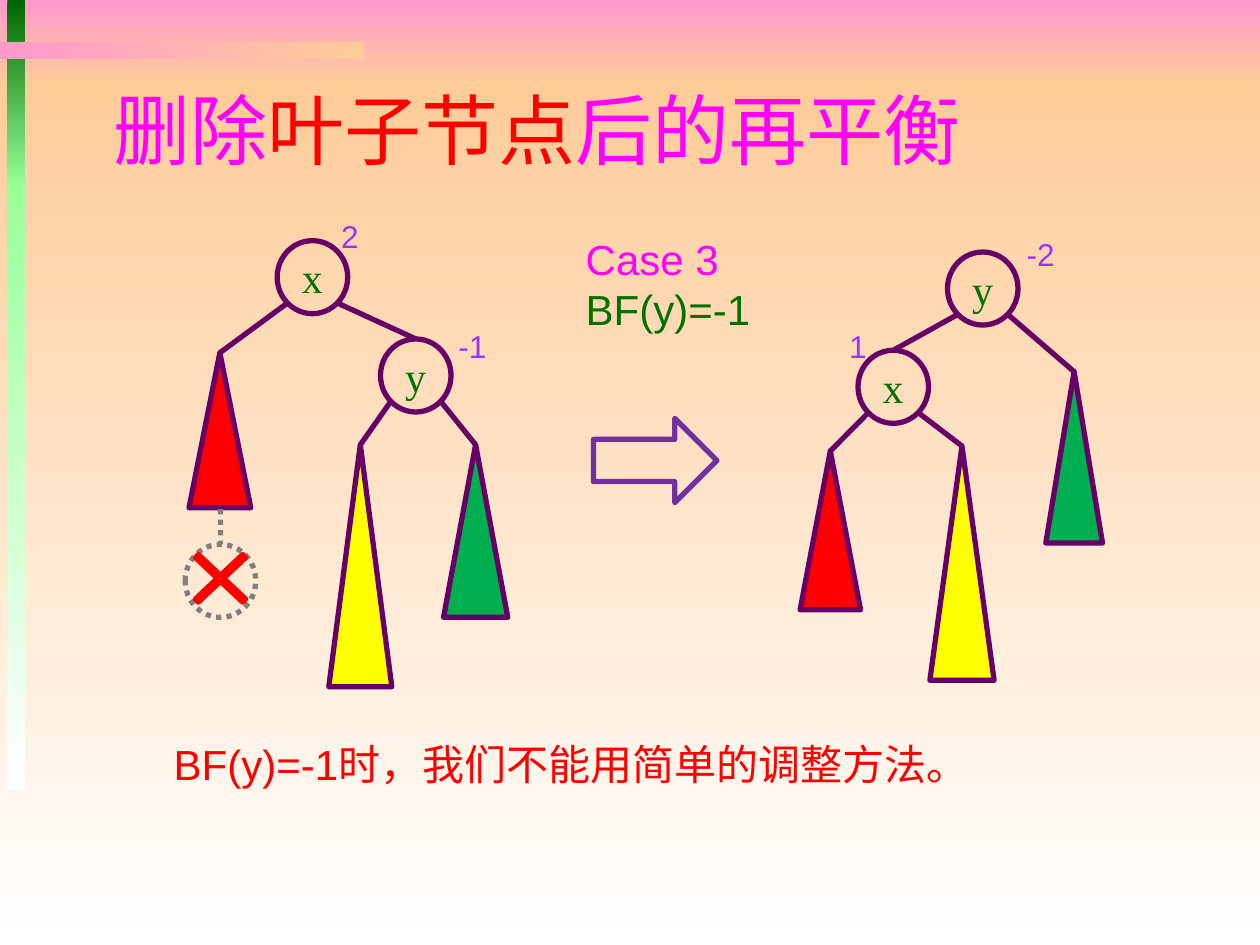
"""Build a slide on rebalancing an AVL tree after a leaf is deleted (case 3)."""
from dataclasses import dataclass
from math import sqrt

from lxml import etree
from pptx import Presentation
from pptx import util as u
from pptx.dml.color import RGBColor
from pptx.enum import dml, shapes, text
from pptx.oxml.ns import qn

COLUMNS, ROWS = 100, 75
WIDTH, HEIGHT = u.Inches(10), u.Inches(7.5)
NODE_W, NODE_H = 5.6, 5.8
STROKE = u.Pt(3)
COLORS = {
    "pink": "FF99CC", "peach": "FFCC99", "white": "FFFFFF", "forest": "006600",
    "mint": "99FF99", "magenta": "FF00FF", "red": "FF0000", "plum": "660066",
    "label": "007200", "yellow": "FFFF00", "green": "00B050", "gray": "808080",
    "violet": "9933FF", "purple": "7030A0",
}


@dataclass
class Band:
    """A gradient bar of the background."""
    box: tuple
    start: str
    end: str
    angle: int = 270


@dataclass
class Node:
    """A tree node with its balance factor."""
    name: str
    left: float
    top: float
    factor: str
    factor_at: tuple


@dataclass
class Subtree:
    """A subtree drawn as a triangle."""
    box: tuple
    fill: str


@dataclass
class Tree:
    """Nodes and subtrees with the edges (parent, side, child) between them."""
    nodes: dict
    subtrees: dict
    edges: tuple


BANDS = (
    Band((0, 0, 100, 6.7), "pink", "peach"),
    Band((0, 6.7, 100, 68.3), "peach", "white"),
    Band((0.6, 0, 1.4, 14.8), "forest", "mint"),
    Band((0.6, 14.6, 1.4, 48.1), "mint", "white"),
    Band((0, 3.3, 28.9, 1.4), "pink", "peach", 0),
)
BEFORE = Tree(
    {"x": Node("x", 22, 19.1, "2", (26.1, 16.7)),
     "y": Node("y", 30.2, 26.9, "-1", (35.4, 25.5))},
    {"a": Subtree((15, 28, 4.9, 12.3), "red"),
     "b": Subtree((26.1, 35.3, 5, 19.2), "yellow"),
     "c": Subtree((35.2, 35.3, 5.1, 13.7), "green")},
    (("x", -1, "a"), ("x", 1, "y"), ("y", -1, "b"), ("y", 1, "c")),
)
AFTER = Tree(
    {"x": Node("x", 68.1, 27.8, "1", (66.4, 25.5)),
     "y": Node("y", 75.2, 20, "-2", (80.5, 18.2))},
    {"a": Subtree((63.5, 35.8, 4.8, 12.6), "red"),
     "b": Subtree((73.8, 35.4, 5.1, 18.6), "yellow"),
     "c": Subtree((83, 29.5, 4.5, 13.6), "green")},
    (("x", -1, "a"), ("y", -1, "x"), ("x", 1, "b"), ("y", 1, "c")),
)


def color(name: str) -> RGBColor:
    """Return a named colour."""
    return RGBColor.from_string(COLORS[name])


def place(*lengths: float) -> list:
    """Turn alternating columns and rows into slide lengths."""
    return [int(n * (HEIGHT / ROWS if i % 2 else WIDTH / COLUMNS))
            for i, n in enumerate(lengths)]


def write(frame, paragraphs, *, size, font, align=None, anchor=None, margin=None) -> None:
    """Fill a text frame with paragraphs of (text, colour) runs."""
    frame.word_wrap = True
    if anchor is not None:
        frame.vertical_anchor = anchor
    if margin is not None:
        frame.margin_left = frame.margin_right = margin
        frame.margin_top = frame.margin_bottom = margin
    for i, runs in enumerate(paragraphs):
        paragraph = frame.add_paragraph() if i else frame.paragraphs[0]
        paragraph.alignment = align
        for words, tint in runs:
            run = paragraph.add_run()
            run.text = words
            run.font.size, run.font.name = u.Pt(size), font
            run.font.color.rgb = color(tint)


def add_note(slide, box: tuple, paragraphs, size: int = 24) -> None:
    """Add a text box that grows with its text."""
    frame = slide.shapes.add_textbox(*place(*box)).text_frame
    write(frame, paragraphs, size=size, font="Arial")
    frame.auto_size = text.MSO_AUTO_SIZE.SHAPE_TO_FIT_TEXT


def add_band(slide, band: Band) -> None:
    """Draw one background bar."""
    bar = slide.shapes.add_shape(shapes.MSO_SHAPE.RECTANGLE, *place(*band.box))
    bar.shadow.inherit = False
    bar.line.fill.background()
    bar.fill.gradient()
    bar.fill.gradient_angle = band.angle
    for stop, name in zip(bar.fill.gradient_stops, (band.start, band.end)):
        stop.color.rgb = color(name)


def style_line(line, tint: str, dotted: bool = False) -> None:
    """Give a line its colour, weight and dash."""
    line.color.rgb, line.width = color(tint), STROKE
    if dotted:
        line.dash_style = dml.MSO_LINE.ROUND_DOT


def add_figure(slide, kind, box: tuple, line: str, fill: str = "", dotted: bool = False):
    """Draw an outlined preset shape, filled when a fill is named."""
    figure = slide.shapes.add_shape(kind, *place(*box))
    figure.shadow.inherit = False
    if fill:
        figure.fill.solid()
        figure.fill.fore_color.rgb = color(fill)
    else:
        figure.fill.background()
    style_line(figure.line, line, dotted)
    return figure


def add_edge(slide, start: tuple, child, tint: str = "plum", dotted: bool = False) -> None:
    """Draw a line from a point to the top of a child shape."""
    edge = slide.shapes.add_connector(shapes.MSO_CONNECTOR.STRAIGHT, *place(*start, *start))
    edge.end_connect(child, 0)
    style_line(edge.line, tint, dotted)
    etree.SubElement(edge._element.spPr, qn("a:effectLst"))


def add_tree(slide, tree: Tree) -> None:
    """Draw the nodes, subtrees, balance factors and edges of a tree."""
    drawn = {}
    for key, node in tree.nodes.items():
        circle = add_figure(slide, shapes.MSO_SHAPE.OVAL,
                            (node.left, node.top, NODE_W, NODE_H), "plum")
        write(circle.text_frame, [[(node.name, "label")]], size=24, font="Times New Roman",
              align=text.PP_ALIGN.CENTER, anchor=text.MSO_ANCHOR.MIDDLE, margin=0)
        add_note(slide, (*node.factor_at, 4.4, 4), [[(node.factor, "violet")]], size=18)
        drawn[key] = circle
    for key, part in tree.subtrees.items():
        drawn[key] = add_figure(slide, shapes.MSO_SHAPE.ISOSCELES_TRIANGLE,
                                part.box, "plum", part.fill)
    for parent, side, child in tree.edges:
        node = tree.nodes[parent]
        start = (node.left + NODE_W / 2 * (1 + side / sqrt(2)),
                 node.top + NODE_H / 2 * (1 + 1 / sqrt(2)))
        add_edge(slide, start, drawn[child])


def main() -> None:
    """Build and save the slide."""
    deck = Presentation()
    deck.slide_width, deck.slide_height = WIDTH, HEIGHT
    slide = deck.slides.add_slide(deck.slide_layouts[5])
    for band in BANDS:
        add_band(slide, band)

    title = slide.shapes.title
    slide.shapes._spTree.append(title._element)
    title.left, title.top, title.width, title.height = place(8, 5.7, 85, 9)
    write(title.text_frame,
          [[("删除", "magenta"), ("叶子节点", "red"), ("后的再平衡", "magenta")]],
          size=44, font="Arial Narrow", align=text.PP_ALIGN.LEFT,
          anchor=text.MSO_ANCHOR.MIDDLE)

    add_tree(slide, BEFORE)
    deleted_leaf = add_figure(slide, shapes.MSO_SHAPE.OVAL, (14.7, 43.2, NODE_W, NODE_H),
                              "gray", dotted=True)
    add_edge(slide, (17.5, 40.4), deleted_leaf, "gray", dotted=True)
    add_note(slide, (45.5, 18, 15.8, 9.1), [[("Case 3", "magenta")], [("BF(y)=-1", "label")]])
    add_tree(slide, AFTER)
    add_figure(slide, shapes.MSO_SHAPE.RIGHT_ARROW, (47.1, 33.2, 9.8, 6.7), "purple")
    add_note(slide, (12.8, 58.1, 79.1, 5),
             [[("BF(y)=-1时，我们不能用简单的调整方法。", "red")]])
    cross = add_figure(slide, shapes.MSO_SHAPE.MATH_MULTIPLY, (13.9, 42.5, 7.2, 6.8),
                       "red", "white")
    cross.adjustments[0] = 0.05
    deck.save("out.pptx")


if __name__ == "__main__":
    main()
